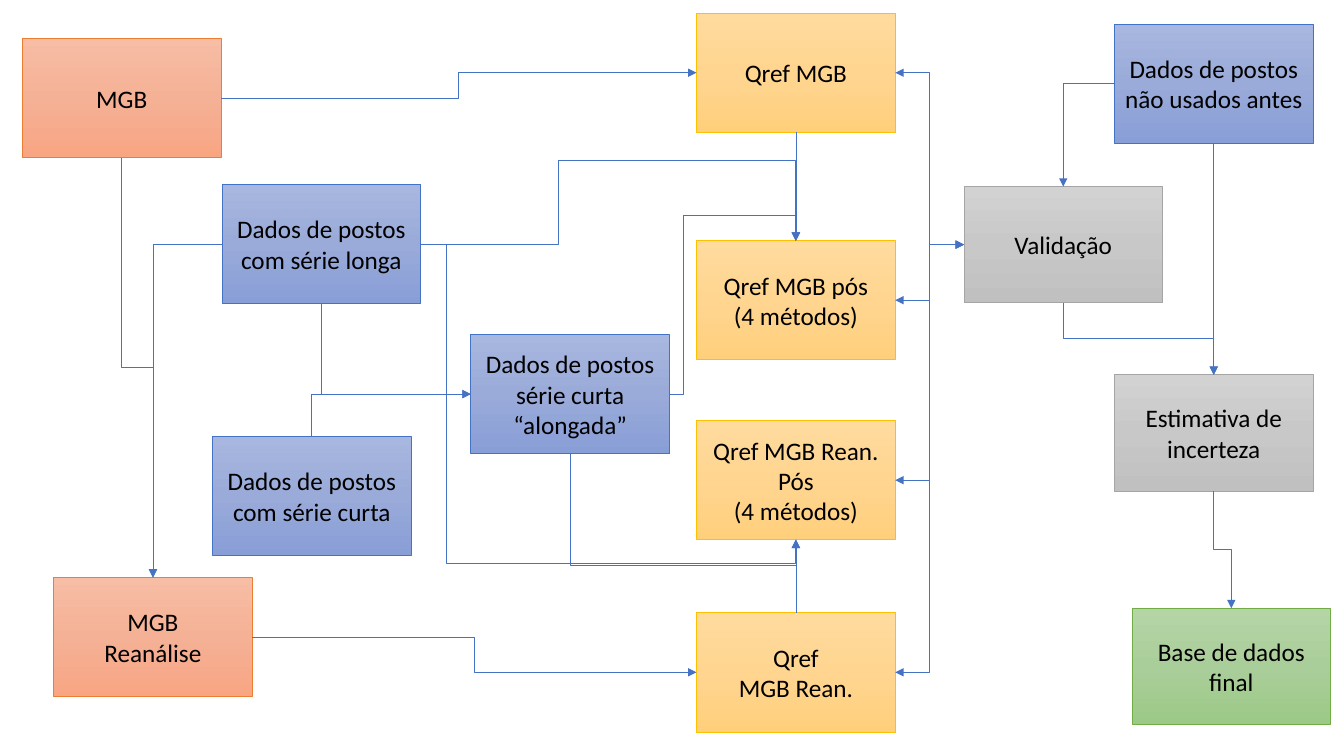
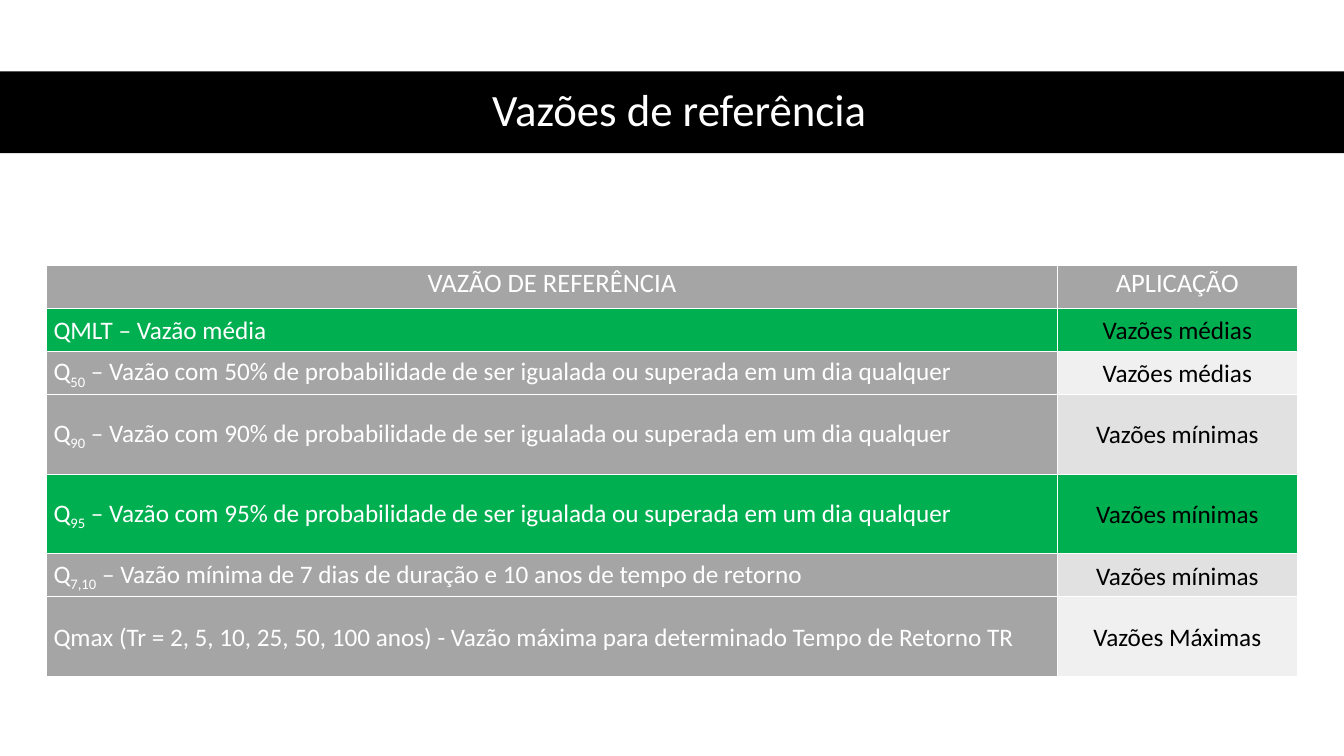
"""Build a flow diagram of reference discharges and the table that defines them."""
from copy import deepcopy
from dataclasses import dataclass

from lxml.etree import SubElement
from pptx import Presentation
from pptx.dml.color import RGBColor
from pptx.enum.shapes import MSO_CONNECTOR, MSO_SHAPE
from pptx.enum.text import MSO_ANCHOR, PP_ALIGN
from pptx.oxml.ns import qn
from pptx.util import Pt

TOP, LEFT, BOTTOM, RIGHT = range(4)
ROTATION = {TOP: 270, LEFT: 180, BOTTOM: 90, RIGHT: 0}


@dataclass(frozen=True)
class Palette:
    line: str
    stops: tuple[str, str, str]


@dataclass(frozen=True)
class Theme:
    font: str = "Calibri"
    title_size: float = 32
    header_size: float = 19
    text_size: float = 18
    black: str = "000000"
    white: str = "FFFFFF"
    connector: str = "4472C4"
    gray: str = "A5A5A5"
    green: str = "00B050"
    light: str = "F0F0F0"
    medium: str = "E1E1E1"
    model: Palette = Palette("ED7D31", ("F7BDA5", "F5B196", "F8A582"))
    discharge: Palette = Palette("FFC000", ("FFDB9E", "FFD590", "FFD07C"))
    gauge: Palette = Palette("4472C4", ("A8B7DF", "9AABD9", "889ED7"))
    check: Palette = Palette("A5A5A5", ("D2D2D2", "C8C8C8", "C0C0C0"))
    result: Palette = Palette("70AD47", ("B5D5A7", "AACE9A", "9CC987"))


THEME = Theme()


@dataclass(frozen=True)
class Box:
    text: str
    left: float
    top: float
    palette: Palette
    height: float = 85
    width: float = 142

    def side(self, index: int) -> tuple[float, float]:
        middle, center = self.left + self.width / 2, self.top + self.height / 2
        return {
            TOP: (middle, self.top),
            LEFT: (self.left, center),
            BOTTOM: (middle, self.top + self.height),
            RIGHT: (self.left + self.width, center),
        }[index]


@dataclass(frozen=True)
class Link:
    source: str
    source_side: int
    target: str
    target_side: int
    channels: tuple[float, ...] = ()
    two_way: bool = False


@dataclass(frozen=True)
class Row:
    pieces: tuple[str, ...]
    use: str
    height: float
    fill: str
    use_fill: str


COLUMN = 497.5
BOXES = {
    "mgb": Box("MGB", 16, 27.5, THEME.model),
    "qref": Box("Qref MGB", COLUMN, 9.5, THEME.discharge),
    "long": Box("Dados de postos com série longa", 158.5, 131.75, THEME.gauge),
    "reanalysis": Box("MGB\nReanálise", 38.25, 412.5, THEME.model),
    "qref_rean": Box("Qref\nMGB Rean.", COLUMN, 437.75, THEME.discharge),
    "extended": Box("Dados de postos série curta “alongada”", 336.25, 239, THEME.gauge),
    "qref_post": Box("Qref MGB pós\n(4 métodos)", COLUMN, 172, THEME.discharge),
    "rean_post": Box("Qref MGB Rean. Pós\n(4 métodos)", COLUMN, 300.5, THEME.discharge),
    "validation": Box("Validação", 688.5, 133.25, THEME.check, 83),
    "uncertainty": Box("Estimativa de incerteza", 796, 267.75, THEME.check, 83),
    "database": Box("Base de dados final", 808.5, 434.5, THEME.result, 83),
    "unused": Box("Dados de postos não usados antes", 796, 17.25, THEME.gauge),
    "short": Box("Dados de postos com série curta", 151.75, 311.75, THEME.gauge),
}

LINKS = [
    Link("long", LEFT, "reanalysis", TOP),
    Link("mgb", BOTTOM, "reanalysis", TOP),
    Link("mgb", RIGHT, "qref", LEFT),
    Link("qref", BOTTOM, "qref_post", TOP),
    Link("extended", RIGHT, "qref_post", TOP, (488, 154)),
    Link("reanalysis", RIGHT, "qref_rean", LEFT),
    Link("qref_rean", TOP, "rean_post", BOTTOM),
    Link("extended", BOTTOM, "rean_post", BOTTOM, (404,)),
    *(
        Link(name, RIGHT, "validation", LEFT, two_way=True)
        for name in ("qref", "qref_post", "rean_post", "qref_rean")
    ),
    Link("validation", BOTTOM, "uncertainty", TOP),
    Link("uncertainty", BOTTOM, "database", TOP),
    Link("unused", LEFT, "validation", TOP),
    Link("unused", BOTTOM, "uncertainty", TOP),
    Link("long", BOTTOM, "extended", LEFT),
    Link("short", TOP, "extended", LEFT),
    Link("long", RIGHT, "qref_post", TOP, (399, 114)),
    Link("long", RIGHT, "rean_post", BOTTOM, (319, 402.5)),
]

PROBABILITY = " – Vazão com {}% de probabilidade de ser igualada ou superada em um dia qualquer"
HEADERS = ("VAZÃO DE REFERÊNCIA", "APLICAÇÃO")
LOW, HIGH = 30.75, 57
ROWS = [
    Row(("QMLT – Vazão média",), "Vazões médias", LOW, THEME.green, THEME.green),
    Row(("Q", "50", PROBABILITY.format(50)), "Vazões médias", LOW, THEME.gray, THEME.light),
    Row(("Q", "90", PROBABILITY.format(90)), "Vazões mínimas", HIGH, THEME.gray, THEME.medium),
    Row(("Q", "95", PROBABILITY.format(95)), "Vazões mínimas", HIGH, THEME.green, THEME.green),
    Row(
        ("Q", "7,10", " – Vazão mínima de 7 dias de duração e 10 anos de tempo de retorno"),
        "Vazões mínimas", LOW, THEME.gray, THEME.medium,
    ),
    Row(
        ("Qmax (Tr = 2, 5, 10, 25, 50, 100 anos) - "
         "Vazão máxima para determinado Tempo de Retorno TR",),
        "Vazões Máximas", HIGH, THEME.gray, THEME.light,
    ),
]


def format_text(text_frame, size: float, color: str, align=PP_ALIGN.CENTER) -> None:
    for paragraph in text_frame.paragraphs:
        paragraph.alignment = align
        for run in paragraph.runs:
            run.font.name = THEME.font
            run.font.size = Pt(size)
            run.font.bold = False
            run.font.color.rgb = RGBColor.from_string(color)


def add_box(slide, box: Box):
    shape = slide.shapes.add_shape(
        MSO_SHAPE.FLOWCHART_PROCESS, Pt(box.left), Pt(box.top), Pt(box.width), Pt(box.height)
    )
    shape.shadow.inherit = False
    shape.fill.gradient()
    shape.fill.gradient_angle = 270
    first_stop = shape.element.spPr.find(".//" + qn("a:gs"))
    first_stop.addnext(deepcopy(first_stop))
    for stop, position, color in zip(shape.fill.gradient_stops, (0, 0.5, 1), box.palette.stops):
        stop.position = position
        stop.color.rgb = RGBColor.from_string(color)
    shape.line.color.rgb = RGBColor.from_string(box.palette.line)
    shape.line.width = Pt(0.5)
    shape.text_frame.text = box.text
    shape.text_frame.word_wrap = True
    shape.text_frame.vertical_anchor = MSO_ANCHOR.MIDDLE
    format_text(shape.text_frame, THEME.text_size, THEME.black)
    return shape


def bend_connector(connector, link: Link, start, end) -> None:
    vertical = link.source_side in (TOP, BOTTOM)
    parallel = link.source_side % 2 == link.target_side % 2
    bends = 3 if parallel else 4 if link.channels else 2
    delta = [end[0] - start[0], end[1] - start[1]]
    width, height = (abs(delta[axis]) for axis in ((1, 0) if vertical else (0, 1)))
    connector.left = Pt((start[0] + end[0] - width) / 2)
    connector.top = Pt((start[1] + end[1] - height) / 2)
    connector.width, connector.height = Pt(width), Pt(height)

    across = {RIGHT: delta[1], LEFT: -delta[1], BOTTOM: -delta[0], TOP: delta[0]}
    frame = connector.element.spPr.find(qn("a:xfrm"))
    frame.set("rot", str(ROTATION[link.source_side] * 60000))
    frame.set("flipH", "0")
    frame.set("flipV", str(int(across[link.source_side] < 0)))

    geometry = connector.element.spPr.find(qn("a:prstGeom"))
    geometry.set("prst", f"bentConnector{bends}")
    adjustments = geometry.find(qn("a:avLst"))
    if adjustments is None:
        adjustments = SubElement(geometry, qn("a:avLst"))
    for index, channel in enumerate(link.channels):
        axis = (index + vertical) % 2
        ratio = round((channel - start[axis]) / delta[axis] * 100000)
        SubElement(adjustments, qn("a:gd"), name=f"adj{index + 1}", fmla=f"val {ratio}")


def add_link(slide, link: Link, shapes: dict) -> None:
    start = BOXES[link.source].side(link.source_side)
    end = BOXES[link.target].side(link.target_side)
    straight = start[0] == end[0] and not link.channels
    connector = slide.shapes.add_connector(
        MSO_CONNECTOR.STRAIGHT if straight else MSO_CONNECTOR.ELBOW,
        *(Pt(value) for value in start + end),
    )
    connector.begin_connect(shapes[link.source], link.source_side)
    connector.end_connect(shapes[link.target], link.target_side)
    if not straight:
        bend_connector(connector, link, start, end)
    connector.line.color.rgb = RGBColor.from_string(THEME.connector)
    connector.line.width = Pt(0.5)
    properties = connector.element.spPr
    line = properties.find(qn("a:ln"))
    for tag in ("a:headEnd", "a:tailEnd") if link.two_way else ("a:tailEnd",):
        SubElement(line, qn(tag), type="triangle")
    SubElement(properties, qn("a:effectLst"))


def add_title(slide, text: str) -> None:
    band = slide.shapes.add_shape(MSO_SHAPE.RECTANGLE, 0, Pt(51), Pt(960), Pt(58.5))
    band.shadow.inherit = False
    band.fill.solid()
    band.fill.fore_color.rgb = RGBColor.from_string(THEME.black)
    band.line.fill.background()
    title = slide.shapes.title
    title.element.addprevious(band.element)
    title.left, title.top, title.width, title.height = Pt(44), Pt(50.5), Pt(882.5), Pt(58.5)
    title.text_frame.text = text
    title.text_frame.vertical_anchor = MSO_ANCHOR.MIDDLE
    title.text_frame.paragraphs[0].line_spacing = 0.9
    format_text(title.text_frame, THEME.title_size, THEME.white)


def format_cell(cell, pieces: tuple[str, ...], fill: str, color: str, size: float, align) -> None:
    cell.margin_left = cell.margin_right = Pt(5)
    cell.margin_top = cell.margin_bottom = 0
    paragraph = cell.text_frame.paragraphs[0]
    paragraph.line_spacing = 1.07
    paragraph.space_after = Pt(8)
    for index, piece in enumerate(pieces):
        run = paragraph.add_run()
        run.text = piece
        if index % 2:
            run.font._element.set("baseline", "-25000")
    format_text(cell.text_frame, size, color, align)
    properties = cell._tc.get_or_add_tcPr()
    for side in ("L", "R", "T", "B"):
        border = SubElement(properties, qn(f"a:ln{side}"), w=str(Pt(1)))
        SubElement(SubElement(border, qn("a:solidFill")), qn("a:srgbClr"), val=THEME.white)
    cell.fill.solid()
    cell.fill.fore_color.rgb = RGBColor.from_string(fill)


def add_discharge_table(slide) -> None:
    heights = [LOW] + [row.height for row in ROWS]
    table = slide.shapes.add_table(
        len(heights), 2, Pt(33.25), Pt(189.5), Pt(893.5), Pt(sum(heights))
    ).table
    table.horz_banding = False
    for column, width in zip(table.columns, (722, 171.5)):
        column.width = Pt(width)
    for table_row, height in zip(table.rows, heights):
        table_row.height = Pt(height)
    for index, header in enumerate(HEADERS):
        format_cell(table.cell(0, index), (header,), THEME.gray, THEME.white,
                    THEME.header_size, PP_ALIGN.CENTER)
    for index, row in enumerate(ROWS, 1):
        name, use = table.cell(index, 0), table.cell(index, 1)
        format_cell(name, row.pieces, row.fill, THEME.white, THEME.text_size, PP_ALIGN.LEFT)
        format_cell(use, (row.use,), row.use_fill, THEME.black, THEME.text_size, PP_ALIGN.CENTER)
        name.vertical_anchor = use.vertical_anchor = MSO_ANCHOR.MIDDLE


def main() -> None:
    presentation = Presentation()
    presentation.slide_width, presentation.slide_height = Pt(960), Pt(540)
    diagram = presentation.slides.add_slide(presentation.slide_layouts[6])
    shapes = {name: add_box(diagram, box) for name, box in BOXES.items()}
    for link in LINKS:
        add_link(diagram, link, shapes)
    definitions = presentation.slides.add_slide(presentation.slide_layouts[5])
    add_title(definitions, "Vazões de referência")
    add_discharge_table(definitions)
    presentation.save("out.pptx")


if __name__ == "__main__":
    main()
